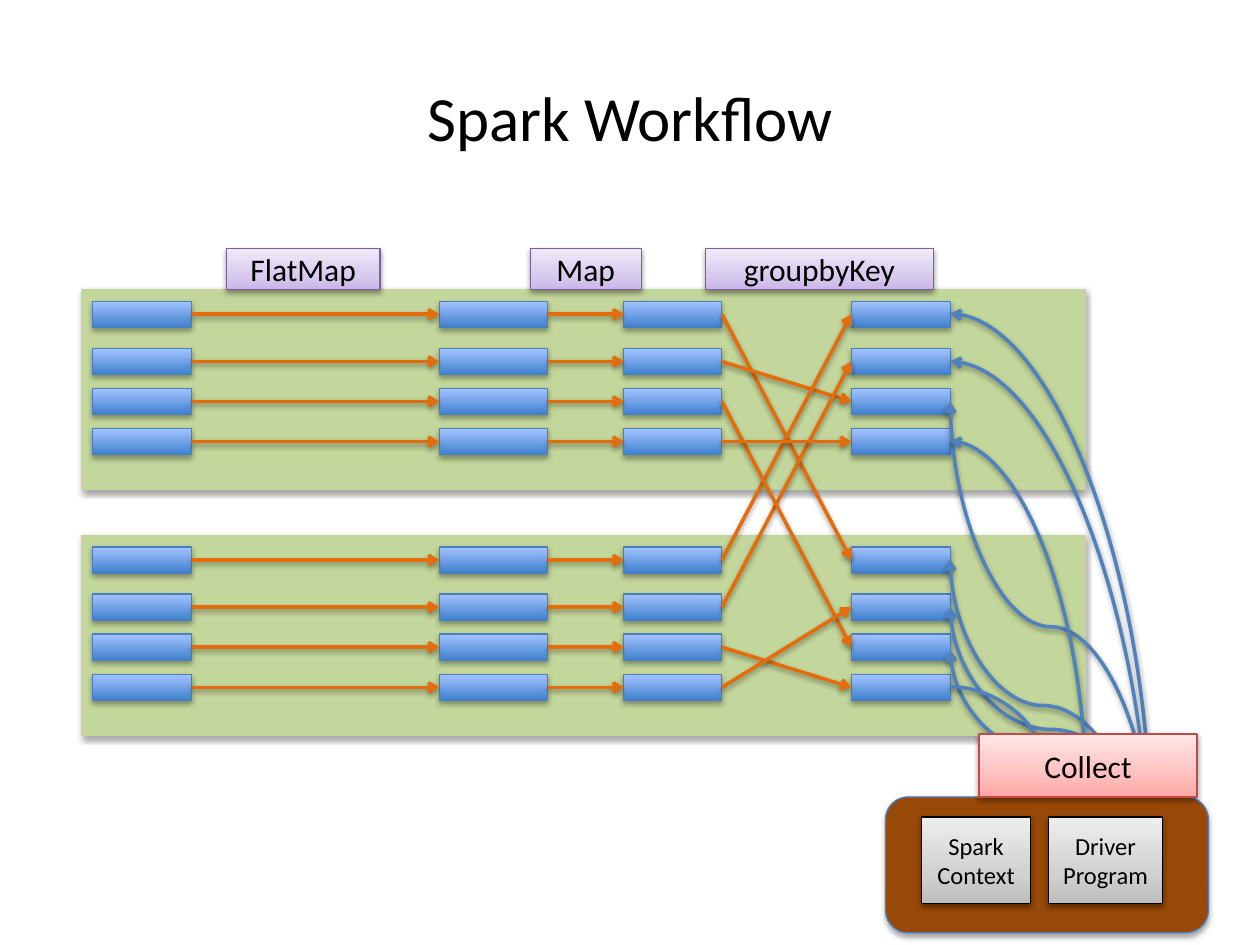
import copy
import pptx
import pptx.dml.color
import pptx.enum.shapes
import pptx.enum.text
import pptx.oxml.ns
import pptx.oxml.xmlchemy
import pptx.util

Pt = pptx.util.Pt
qn = pptx.oxml.ns.qn
Form = pptx.enum.shapes.MSO_SHAPE
Link = pptx.enum.shapes.MSO_CONNECTOR

BLUE = ["3F80CE", "A4C4FF"]
PURPLE = ["C9B5E8", "D8CBEE", "F0EAF9"]
GRAY = ["BDBDBD", "D1D1D1", "EEEEEE"]
PINK = ["FFA6A5", "FFC0BF", "FFE7E7"]
EDGE = "4B7EBC"
ORANGE = "E46C0A"
CURVE = "4F81BD"

TOPS = [165.6, 306]
ROWS = [6.5, 33.5, 56.3, 79.3]
COLS = [(53, 56.5), (251, 62), (356.5, 56), (486.5, 56.5)]
SWAPS = [(0, 4), (1, 2), (5, 1), (4, 0), (2, 6), (3, 3), (6, 7), (7, 5)]
LABELS = [("FlatMap", 129.3, 88), ("Map", 303, 63.5), ("groupbyKey", 403, 130.5)]
WAVES = [(229.7, 658, 486.7), (319.7, 649.4, 486.7),
         (347, 658, 486.7), (371.5, 658, 491.8)]
BENDS = [(179.3, 658, 486.7), (206.6, 658, 514), (252, 620.6, 455)]


def tint(code):
    return pptx.dml.color.RGBColor.from_string(code)


def node(parent, tag, **attrs):
    child = pptx.oxml.xmlchemy.OxmlElement(tag)
    for key, value in attrs.items():
        child.set(key, str(value))
    parent.append(child)
    return child


def shade(effects, dist, alpha):
    outer = node(effects, "a:outerShdw", blurRad=40000, dist=dist,
                 dir=5400000, rotWithShape=0)
    color = node(outer, "a:srgbClr", val="000000")
    node(color, "a:alpha", val=alpha * 1000)


def blend(shape, colors):
    shape.fill.gradient()
    shape.fill.gradient_angle = 90
    stops = shape._element.spPr.find(".//" + qn("a:gsLst"))
    if len(colors) == 3:
        stops.insert(1, copy.deepcopy(stops[0]))
    places = [0, 0.35, 1] if len(colors) == 3 else [0, 1]
    for stop, place, color in zip(shape.fill.gradient_stops, places, colors):
        stop.position = place
        stop.color.rgb = tint(color)


def write(shape, text, size):
    frame = shape.text_frame
    frame.word_wrap = True
    frame.vertical_anchor = pptx.enum.text.MSO_ANCHOR.MIDDLE
    para = frame.paragraphs[0]
    para.alignment = pptx.enum.text.PP_ALIGN.CENTER
    run = para.add_run()
    run.text = text
    run.font.name = "Calibri"
    run.font.size = Pt(size)
    run.font.color.rgb = tint("000000")


def box(slide, spot, fill, edge, text="", size=18, form=Form.RECTANGLE):
    shape = slide.shapes.add_shape(form, *map(Pt, spot))
    if isinstance(fill, list):
        blend(shape, fill)
    else:
        shape.fill.solid()
        shape.fill.fore_color.rgb = tint(fill)
    shape.line.color.rgb = tint(edge)
    shape.line.width = Pt(0.75)
    shape.shadow.inherit = False
    effects = shape._element.spPr.find(qn("a:effectLst"))
    if text:
        shade(effects, 20000, 38)
        write(shape, text, size)
    else:
        shade(effects, 23000, 35)
    return shape


def style(line, color, ends):
    line.line.color.rgb = tint(color)
    line.line.width = Pt(2)
    for end in ends:
        node(line.line._get_or_add_ln(), end, type="arrow")
    shade(node(line._element.spPr, "a:effectLst"), 20000, 38)


def arrow(slide, start, stop):
    line = slide.shapes.add_connector(Link.STRAIGHT, 0, 0, 0, 0)
    line.begin_connect(start, 3)
    line.end_connect(stop, 1)
    style(line, ORANGE, ["a:tailEnd"])


def curve(slide, y, right, low, kind="curvedConnector2",
          ends=("a:headEnd", "a:tailEnd")):
    line = slide.shapes.add_connector(
        Link.CURVE, Pt(543), Pt(y), Pt(right), Pt(low))
    line._element.spPr.find(qn("a:prstGeom")).set("prst", kind)
    style(line, CURVE, ends)


def wave(slide, y, right, low):
    midx, midy = (543 + right) / 2, (y + low) / 2
    wide, tall = low - y, right - 543
    line = slide.shapes.add_connector(
        Link.CURVE, Pt(midx + wide / 2), Pt(midy - tall / 2),
        Pt(midx - wide / 2), Pt(midy + tall / 2))
    line._element.spPr.find(qn("a:xfrm")).set("rot", "16200000")
    style(line, CURVE, ["a:headEnd", "a:tailEnd"])


def main():
    deck = pptx.Presentation()
    deck.slide_width, deck.slide_height = Pt(720), Pt(540)
    slide = deck.slides.add_slide(deck.slide_layouts[6])
    title = slide.shapes.add_textbox(Pt(36), Pt(21.6), Pt(648), Pt(90))
    write(title, "Spark Workflow", 36)

    grid = []
    for top in TOPS:
        box(slide, (46.5, top, 574, 114), "C3D69B", "C3D69B")
        for row in ROWS:
            grid.append([box(slide, (left, top + row, wide, 15), BLUE, EDGE)
                         for left, wide in COLS])
    for text, left, wide in LABELS:
        box(slide, (left, 142, wide, 23.6), PURPLE, "7D60A0", text)

    for cells in grid:
        arrow(slide, cells[0], cells[1])
        arrow(slide, cells[1], cells[2])
    for start, stop in SWAPS:
        arrow(slide, grid[start][2], grid[stop][3])

    for points in WAVES:
        wave(slide, *points)
    for points in BENDS:
        curve(slide, *points)
    curve(slide, 392.4, 649.4, 478.8, "curvedConnector3", ())

    box(slide, (506, 455.4, 184.5, 77.6), "984807", EDGE,
        form=Form.ROUNDED_RECTANGLE)
    box(slide, (526.5, 466.8, 62.5, 49.5), GRAY, "000000", "Spark Context", 14)
    box(slide, (599, 466.8, 65.5, 49.5), GRAY, "000000", "Driver Program", 14)
    box(slide, (559.5, 419.4, 124.5, 36), PINK, "BF4C48", "Collect")
    deck.save("out.pptx")


if __name__ == "__main__":
    main()
